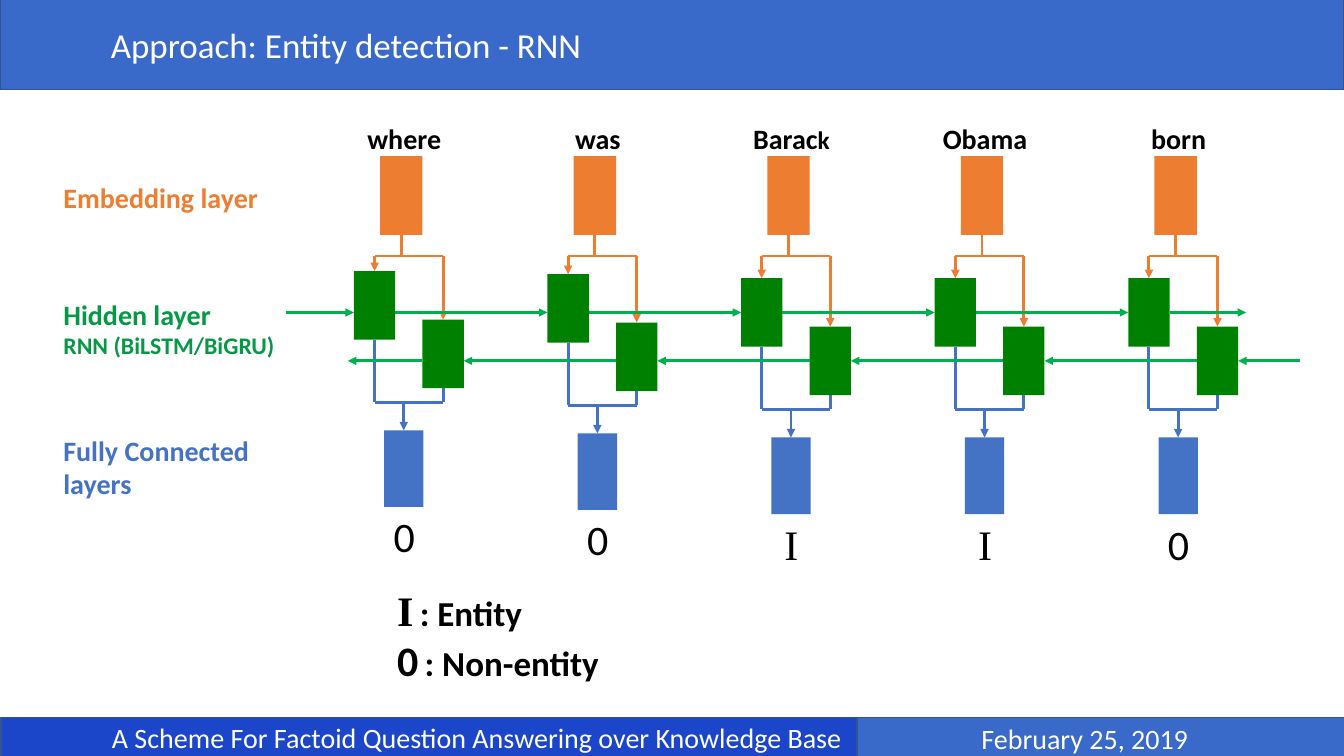
from dataclasses import dataclass
from itertools import product
from lxml.etree import SubElement
from pptx import Presentation
from pptx.dml.color import RGBColor
from pptx.enum.shapes import MSO_CONNECTOR, MSO_SHAPE
from pptx.enum.text import MSO_ANCHOR, PP_ALIGN
from pptx.oxml.ns import qn
from pptx.util import Inches, Pt


@dataclass(frozen=True)
class Theme:
    """Colours, fonts and type sizes."""
    blue: str = "3A6AC9"
    deep: str = "1B46CA"
    edge: str = "325491"
    embed: str = "ED7D31"
    hidden: str = "008000"
    dense: str = "4472C4"
    flow: str = "00B050"
    label: str = "059946"
    white: str = "FFFFFF"
    black: str = "000000"
    sans: str = "Calibri"
    serif: str = "Times New Roman"
    tag: int = 30
    head: int = 25
    body: int = 20
    trim: int = 18
    small: int = 17


T = Theme()
TOP, LEFT, BOTTOM, RIGHT = range(4)
FACES = {"I": T.serif, "0": T.sans}
TOKENS = [
    (("where",), "0", 0),
    (("was",), "0", 0.03),
    (("Barac", "k"), "I", 0.07),
    (("Obama",), "I", 0.07),
    (("born",), "0", 0.07),
]
AXIS, PITCH = 4.01, 1.92
SPLIT = 2.54
AHEAD, BACK = 3.1, 3.58


def style(item, values):
    """Set each named value on an item."""
    for name, value in values.items():
        setattr(item, name, value)


def run(text, size=T.body, tint=T.black, bold=True, face=T.sans):
    """Describe one run of text."""
    return text, {"size": Pt(size), "bold": bold, "name": face}, tint


def write(shape, lines, align, **frame):
    """Fill a shape with lines of runs."""
    body = shape.text_frame
    style(body, frame)
    for i, line in enumerate(lines):
        para = body.add_paragraph() if i else body.paragraphs[0]
        para.alignment = align
        for text, font, tint in line:
            part = para.add_run()
            part.text = text
            style(part.font, font)
            part.font.color.rgb = RGBColor.from_string(tint)


def note(slide, box, lines, align=PP_ALIGN.LEFT):
    """Add a text box."""
    shape = slide.shapes.add_textbox(*map(Inches, box))
    write(shape, lines, align, word_wrap=True)


def block(slide, box, fill):
    """Add a flat rectangle."""
    shape = slide.shapes.add_shape(MSO_SHAPE.RECTANGLE, *map(Inches, box))
    shape.shadow.inherit = False
    shape.fill.solid()
    shape.fill.fore_color.rgb = RGBColor.from_string(fill)
    shape.line.fill.background()
    return shape


def banner(slide, box, fill, text, size, left, right, align=PP_ALIGN.LEFT):
    """Add an outlined bar with white text."""
    shape = block(slide, box, fill)
    shape.line.color.rgb = RGBColor.from_string(T.edge)
    shape.line.width = Pt(1)
    write(shape, [[run(text, size, T.white, False)]], align,
          word_wrap=True, vertical_anchor=MSO_ANCHOR.MIDDLE,
          margin_left=Inches(left), margin_right=Inches(right))


def site(cell, side):
    """Give the middle of a cell's side in inches."""
    x, y = {TOP: (0.5, 0), LEFT: (0, 0.5), BOTTOM: (0.5, 1), RIGHT: (1, 0.5)}[side]
    return (cell.left + x * cell.width) / Inches(1), (cell.top + y * cell.height) / Inches(1)


def wire(slide, start, end, tint, cells=(), arrow=False):
    """Add a line and join each end that meets the middle of a cell's side."""
    line = slide.shapes.add_connector(MSO_CONNECTOR.STRAIGHT, *map(Inches, start + end))
    line.line.color.rgb = RGBColor.from_string(tint)
    line.line.width = Pt(2)
    shape = line._element.spPr
    if arrow:
        SubElement(shape.find(qn("a:ln")), qn("a:tailEnd"), type="triangle")
    SubElement(shape, qn("a:effectLst"))
    joins = (start, line.begin_connect), (end, line.end_connect)
    for cell, side, (spot, join) in product(cells, range(4), joins):
        if all(abs(a - b) < 0.01 for a, b in zip(site(cell, side), spot)):
            join(cell, side)


def fork(slide, above, below, y, tint):
    """Link the cells above to those below through a bar at height y."""
    feet = [site(cell, BOTTOM) for cell in above]
    heads = [site(cell, TOP) for cell in below]
    span = [x for x, _ in feet + heads]
    wire(slide, (min(span), y), (max(span), y), tint)
    for x, foot in feet:
        wire(slide, (x, foot), (x, y), tint, above)
    for x, head in heads:
        wire(slide, (x, y), (x, head), tint, below, True)


def column(slide, axis, word, tag, drop):
    """Draw one token from its word down to its tag, and return its hidden cells."""
    embed = block(slide, (axis - 0.24, 1.55, 0.42, 0.78), T.embed)
    ahead = block(slide, (axis - 0.5, 2.69 + drop, 0.41, 0.68), T.hidden)
    back = block(slide, (axis + 0.18, 3.17 + drop, 0.41, 0.68), T.hidden)
    base = 4.27 + drop
    dense = block(slide, (axis - 0.2, base, 0.39, 0.76), T.dense)
    fork(slide, [embed], [ahead, back], SPLIT, T.embed)
    fork(slide, [ahead, back], [dense], base - 0.28, T.dense)
    name = [run(text, size) for text, size in zip(word, (T.body, T.trim))]
    mark = [run(tag, T.tag, bold=False, face=FACES[tag])]
    for line, y, high in ((name, 1.16, 0.44), (mark, base + 0.75, 0.61)):
        note(slide, (axis - 0.6, y, 1.2, high), [line], PP_ALIGN.CENTER)
    return ahead, back


def chain(slide, cells, y, start, end, enter, leave):
    """Run arrows at height y from start, through each cell, to end."""
    tails = [start] + [site(cell, leave)[0] for cell in cells]
    heads = [site(cell, enter)[0] for cell in cells] + [end]
    for tail, head in zip(tails, heads):
        wire(slide, (tail, y), (head, y), T.flow, cells, True)


def frame(slide):
    """Draw the title bar and the footer."""
    banner(slide, (0, -0.01, 13.33, 0.9), T.blue,
           "Approach: Entity detection - RNN", T.head, 1.1, 0.1)
    banner(slide, (0.01, 7.12, 8.49, 0.39), T.deep,
           "A Scheme For Factoid Question Answering over Knowledge Base", T.body, 1.1, 0.05)
    banner(slide, (8.5, 7.12, 4.85, 0.41), T.blue,
           "February 25, 2019", T.body, 0.1, 0.43, PP_ALIGN.CENTER)


def labels(slide):
    """Name the layers and explain the tags."""
    layers = [
        (1.74, 0.53, [run("Embedding layer", tint=T.embed)]),
        (2.9, 0.44, [run("Hidden layer", tint=T.label)],
         [run("RNN (BiLSTM/BiGRU)", T.small, T.label)]),
        (4.25, 0.76, [run("Fully Connected layers", tint=T.dense)]),
    ]
    for y, high, *lines in layers:
        note(slide, (0.53, y, 2.32, high), lines)
    kinds = {"I": ": Entity", "0": ": Non-entity"}
    note(slide, (3.84, 5.75, 2.32, 1.2),
         [[run(tag, T.tag, face=FACES[tag]), run(" "), run(kind, T.head)]
          for tag, kind in kinds.items()])


def main():
    """Build the slide and save it."""
    deck = Presentation()
    style(deck, {"slide_width": Inches(13.33), "slide_height": Inches(7.5)})
    slide = deck.slides.add_slide(deck.slide_layouts[6])
    frame(slide)
    pairs = [column(slide, AXIS + i * PITCH, *token) for i, token in enumerate(TOKENS)]
    ahead, back = zip(*pairs)
    chain(slide, ahead, AHEAD, 2.84, 12.36, LEFT, RIGHT)
    chain(slide, back[::-1], BACK, 12.89, 3.45, RIGHT, LEFT)
    labels(slide)
    deck.save("out.pptx")


if __name__ == "__main__":
    main()
